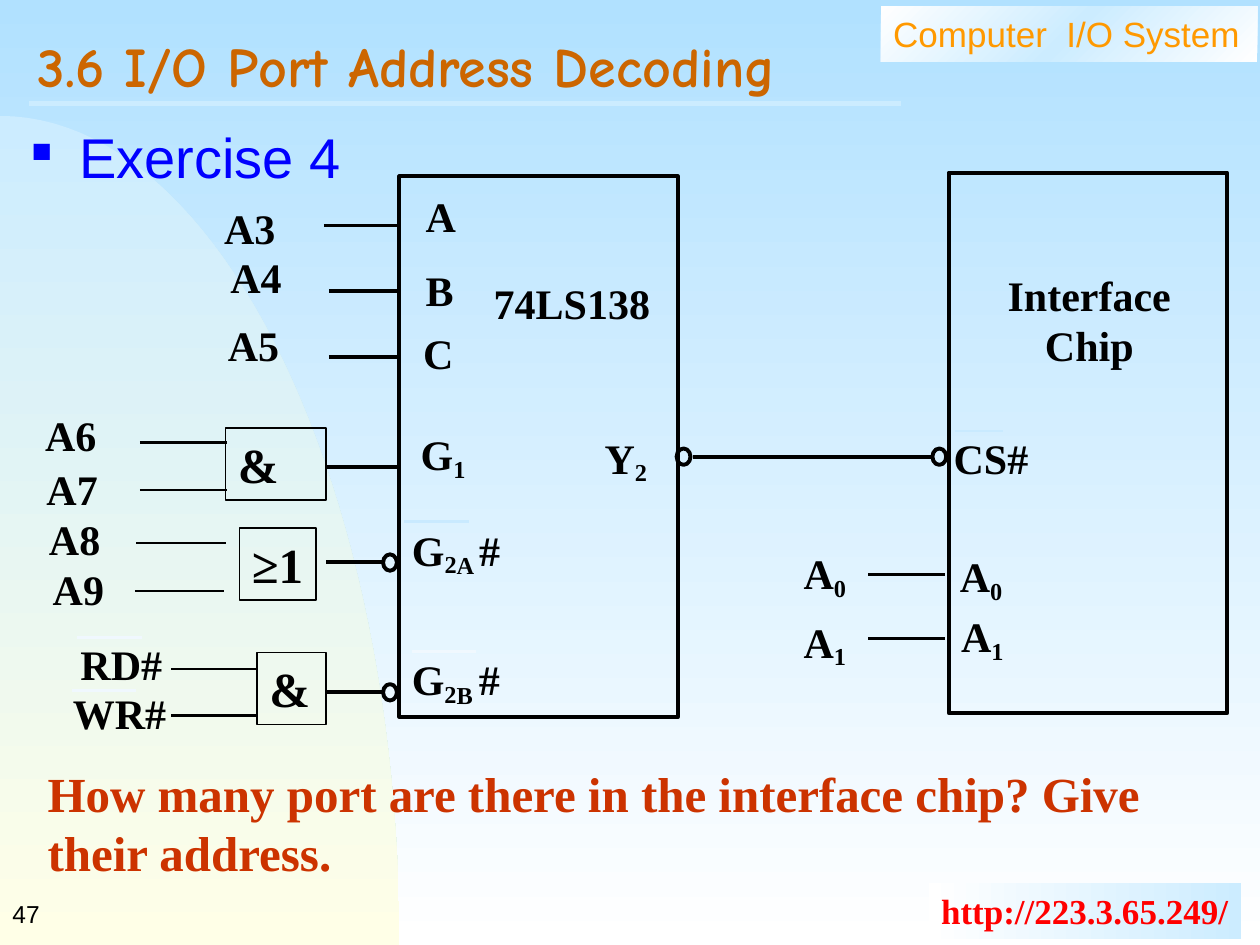
import copy

import pptx
import pptx.dml.color
import pptx.enum.shapes
import pptx.enum.text
import pptx.oxml.ns
import pptx.util
from lxml import etree
from pptx.util import Inches

SERIF, SANS, HAND = "Times New Roman", "Arial", "Comic Neue"
BLACK, SKY, PALE, MIST = "000000", "CCECFF", "F0F8FE", "C9EAFF"
ANCHOR = pptx.enum.text.MSO_ANCHOR
SHAPE = pptx.enum.shapes.MSO_SHAPE

chips = [(3.17, 1.4), (7.53, 1.37)]
chip_size = (2.21, 4.29)
gates = [
    ("&", (1.79, 3.4, 0.8, 0.57)),
    ("≥1", (1.9, 4.19, 0.61, 0.57)),
    ("&", (2.04, 5.18, 0.55, 0.57)),
]
bubbles = [(5.37, 3.56), (7.4, 3.56), (3.04, 4.4), (3.04, 5.43)]
wires = {
    (BLACK, 2.25): [
        (2.57, 3.17, 1.79), (2.61, 3.17, 2.31), (2.61, 3.17, 2.83),
        (5.5, 7.41, 3.63), (2.59, 3.15, 3.71), (2.59, 3.04, 4.46),
        (2.59, 3.04, 5.49),
    ],
    (BLACK, 1.5): [
        (1.11, 1.8, 3.51), (1.11, 1.8, 3.89), (1.36, 2.05, 5.31),
        (1.36, 2.05, 5.68), (6.89, 7.5, 4.56), (6.89, 7.5, 5.07),
    ],
    (BLACK, 1): [(1.08, 1.79, 4.31), (1.07, 1.78, 4.69)],
    (PALE, 1.5): [(3.27, 3.78, 5.17), (0.61, 1.13, 5.06), (0.57, 1.08, 5.48)],
    (MIST, 1.5): [(7.58, 7.96, 3.42), (3.21, 3.72, 4.14)],
}
pins = [
    ("A", 3.28, 1.46, 0.44), ("B", 3.28, 2.05, 0.42), ("C", 3.26, 2.55, 0.44),
    ("74LS138", 3.82, 2.15, 1.44), ("CS#", 7.47, 3.38, 0.79),
    ("A3", 1.68, 1.56, 0.61), ("A4", 1.73, 1.95, 0.61), ("A5", 1.71, 2.49, 0.61),
    ("A6", 0.26, 3.2, 0.61), ("A7", 0.27, 3.63, 0.61),
    ("A8", 0.29, 4.03, 0.61), ("A9", 0.32, 4.42, 0.61),
    ("RD#", 0.54, 5.02, 0.85), ("WR#", 0.48, 5.41, 0.94),
]
indexed_pins = [
    ([("Y", 0), ("2", -18)], 4.7, 3.38, 0.54),
    ([("G", 0), ("1", -20)], 3.24, 3.35, 0.57),
    ([("G", 0), ("2", -18), ("A ", -20), ("#", 0)], 3.17, 4.11, 0.91),
    ([("G", 0), ("2", -18), ("B ", -20), ("#", 0)], 3.17, 5.14, 0.9),
    ([("A", 0), ("0", -18)], 7.52, 4.32, 0.54),
    ([("A", 0), ("1", -18)], 7.53, 4.8, 0.54),
    ([("A", 0), ("0", -18)], 6.28, 4.3, 0.54),
    ([("A", 0), ("1", -18)], 6.28, 4.84, 0.54),
]


def color(code):
    return pptx.dml.color.RGBColor.from_string(code)


def paint_gradient(fill, codes, angle):
    fill.gradient()
    fill.gradient_angle = angle
    first = fill.gradient_stops[0]._gs
    for _ in codes[2:]:
        first.addnext(copy.deepcopy(first))
    for index, (stop, code) in enumerate(zip(fill.gradient_stops, codes)):
        stop.color.rgb = color(code)
        stop.position = index / (len(codes) - 1)


def style_text(frame, size, font=SERIF, code=BLACK, bold=True, wrap=False):
    frame.word_wrap = wrap
    if not wrap:
        frame.auto_size = pptx.enum.text.MSO_AUTO_SIZE.SHAPE_TO_FIT_TEXT
    for paragraph in frame.paragraphs:
        paragraph.alignment = pptx.enum.text.PP_ALIGN.LEFT
        for run in paragraph.runs:
            run.font.size = pptx.util.Pt(size)
            run.font.name = font
            run.font.bold = bold
            run.font.color.rgb = color(code)


def add_text(slide, text, box, size, **style):
    frame = slide.shapes.add_textbox(*map(Inches, box)).text_frame
    frame.text = text
    style_text(frame, size, **style)
    return frame


def add_outline(slide, preset, box, width=2.25):
    outline = slide.shapes.add_shape(preset, *map(Inches, box))
    outline.shadow.inherit = False
    outline.fill.background()
    outline.line.color.rgb = color(BLACK)
    outline.line.width = pptx.util.Pt(width)
    return outline


def add_wire(slide, left, right, y, code, width):
    wire = slide.shapes.add_connector(
        pptx.enum.shapes.MSO_CONNECTOR.STRAIGHT,
        Inches(left), Inches(y), Inches(right), Inches(y))
    wire.line.color.rgb = color(code)
    wire.line.width = pptx.util.Pt(width)
    etree.SubElement(wire._element.spPr, pptx.oxml.ns.qn("a:effectLst"))


def add_banner(slide, text, box, codes, angle, **style):
    banner = slide.shapes.add_shape(SHAPE.RECTANGLE, *map(Inches, box))
    banner.shadow.inherit = False
    banner.line.fill.background()
    paint_gradient(banner.fill, codes, angle)
    banner.text_frame.text = text
    banner.text_frame.vertical_anchor = ANCHOR.TOP
    style_text(banner.text_frame, 20, **style)


def add_backdrop(slide):
    paint_gradient(slide.background.fill, ["B1E1FF", "FFFFFF"], 270)
    controls = [(0, 0.92), (1.75, 0.92), (3.17, 3.87), (3.17, 7.5)]
    steps = 48
    arc = []
    for step in range(steps + 1):
        t = step / steps
        weights = [(1 - t) ** 3, 3 * t * (1 - t) ** 2, 3 * t * t * (1 - t), t ** 3]
        arc.append(tuple(Inches(sum(w * point[axis] for w, point in zip(weights, controls)))
                         for axis in (0, 1)))
    builder = slide.shapes.build_freeform(*arc[0])
    builder.add_line_segments(arc[1:] + [(0, Inches(7.5))], close=True)
    hill = builder.convert_to_shape()
    hill.shadow.inherit = False
    hill.line.fill.background()
    paint_gradient(hill.fill, [SKY, "FFFFE7"], 270)


def add_heading(slide):
    add_banner(slide, "Computer  I/O System", (6.99, 0.05, 2.99, 0.44),
               ["FFFFFF", SKY, "FFFFFF"], 315,
               font=SANS, code="FF9900", bold=False, wrap=True)
    add_banner(slide, "http://223.3.65.249/", (7.37, 7.01, 2.48, 0.44),
               ["FFFFFF", SKY], 0, code="FF0000")
    add_wire(slide, 0.23, 7.15, 0.82, SKY, 3)
    number = add_text(slide, "47", (0, 7, 2.08, 0.5), 14, font=SANS, bold=False, wrap=True)
    number.vertical_anchor = ANCHOR.MIDDLE
    title = add_text(slide, "3.6 I/O Port Address Decoding", (0.2, 0.2, 9.55, 0.77), 32,
                     font=HAND, code="CC6600", wrap=True)
    title.vertical_anchor = ANCHOR.MIDDLE
    title.paragraphs[0].line_spacing = 0.7

    exercise = add_text(slide, "Exercise 4", (0.15, 0.92, 9.6, 6), 32,
                        font=SANS, code="0000FF", bold=False, wrap=True)
    properties = exercise.paragraphs[0]._p.get_or_add_pPr()
    properties.set("marL", str(Inches(0.38)))
    properties.set("indent", str(-Inches(0.38)))
    qn = pptx.oxml.ns.qn
    bullet_color = etree.SubElement(properties, qn("a:buClr"))
    etree.SubElement(bullet_color, qn("a:srgbClr")).set("val", "0000FF")
    etree.SubElement(properties, qn("a:buSzPct")).set("val", "50000")
    etree.SubElement(properties, qn("a:buChar")).set("char", "■")


def add_circuit(slide):
    for corner in chips:
        add_outline(slide, SHAPE.RECTANGLE, corner + chip_size)
    for (code, width), spans in wires.items():
        for left, right, y in spans:
            add_wire(slide, left, right, y, code, width)
    for corner in bubbles:
        add_outline(slide, SHAPE.OVAL, corner + (0.11, 0.13))
    for symbol, box in gates:
        gate = add_outline(slide, SHAPE.RECTANGLE, box, 1)
        gate.text_frame.text = symbol
        gate.text_frame.vertical_anchor = ANCHOR.TOP
        style_text(gate.text_frame, 28, wrap=symbol == "&")
    for name, left, top, width in pins:
        add_text(slide, name, (left, top, width, 0.5), 24)
    for parts, left, top, width in indexed_pins:
        frame = add_text(slide, "", (left, top, width, 0.53), 24)
        for text, baseline in parts:
            run = frame.paragraphs[0].add_run()
            run.text = text
            run._r.get_or_add_rPr().set("baseline", str(baseline * 1000))
        style_text(frame, 24)
    chip_name = add_text(slide, "Interface\nChip", (7.87, 2.09, 1.55, 0.9), 24)
    for paragraph in chip_name.paragraphs:
        paragraph.alignment = pptx.enum.text.PP_ALIGN.CENTER


def main():
    deck = pptx.Presentation()
    deck.slide_width, deck.slide_height = Inches(10), Inches(7.5)
    slide = deck.slides.add_slide(deck.slide_layouts[6])
    add_backdrop(slide)
    add_heading(slide)
    add_circuit(slide)
    add_text(slide, "How many port are there in the interface chip? Give their address.",
             (0.28, 6.01, 9.46, 1.04), 28, code="CC3300", wrap=True)
    deck.save("out.pptx")


if __name__ == "__main__":
    main()
